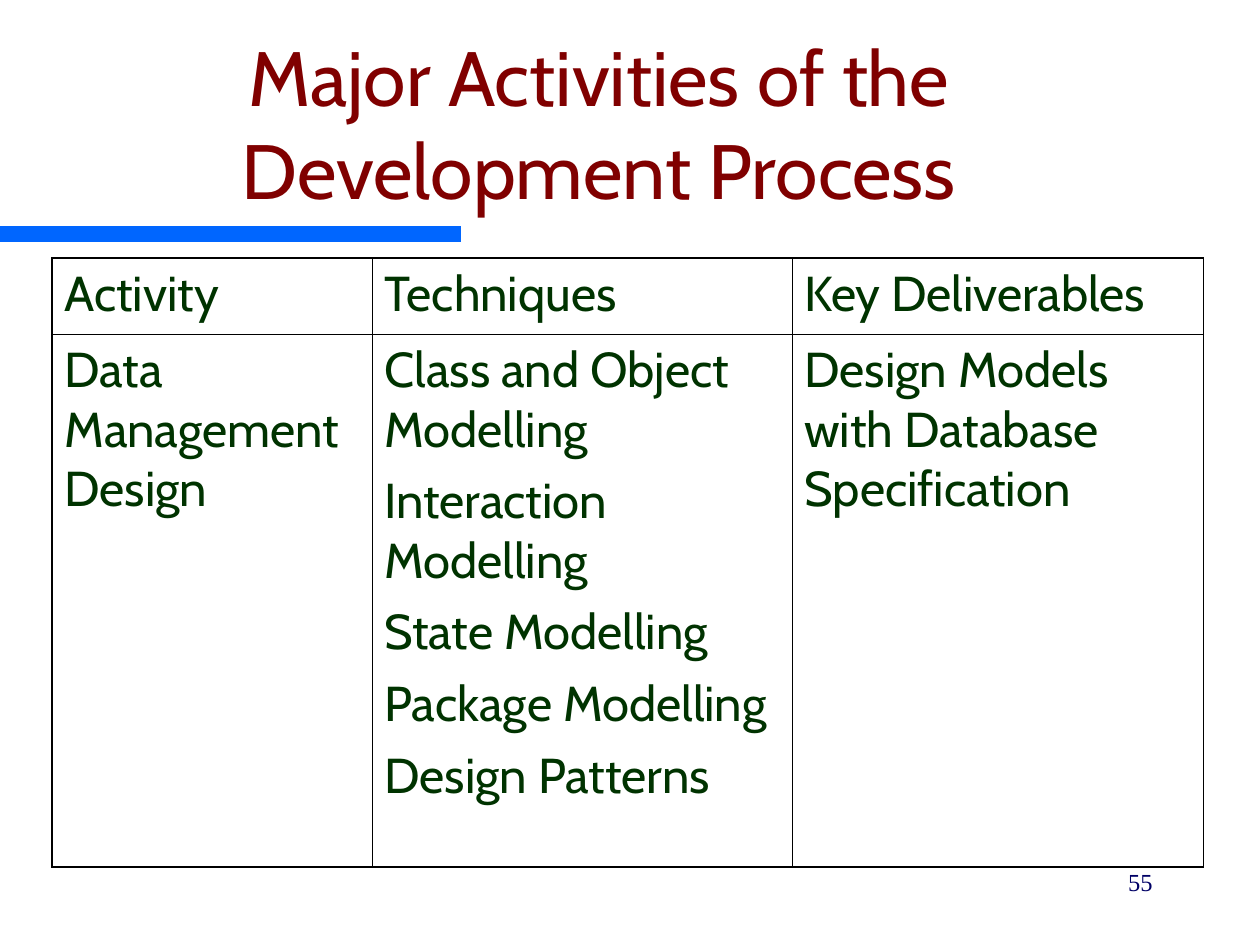
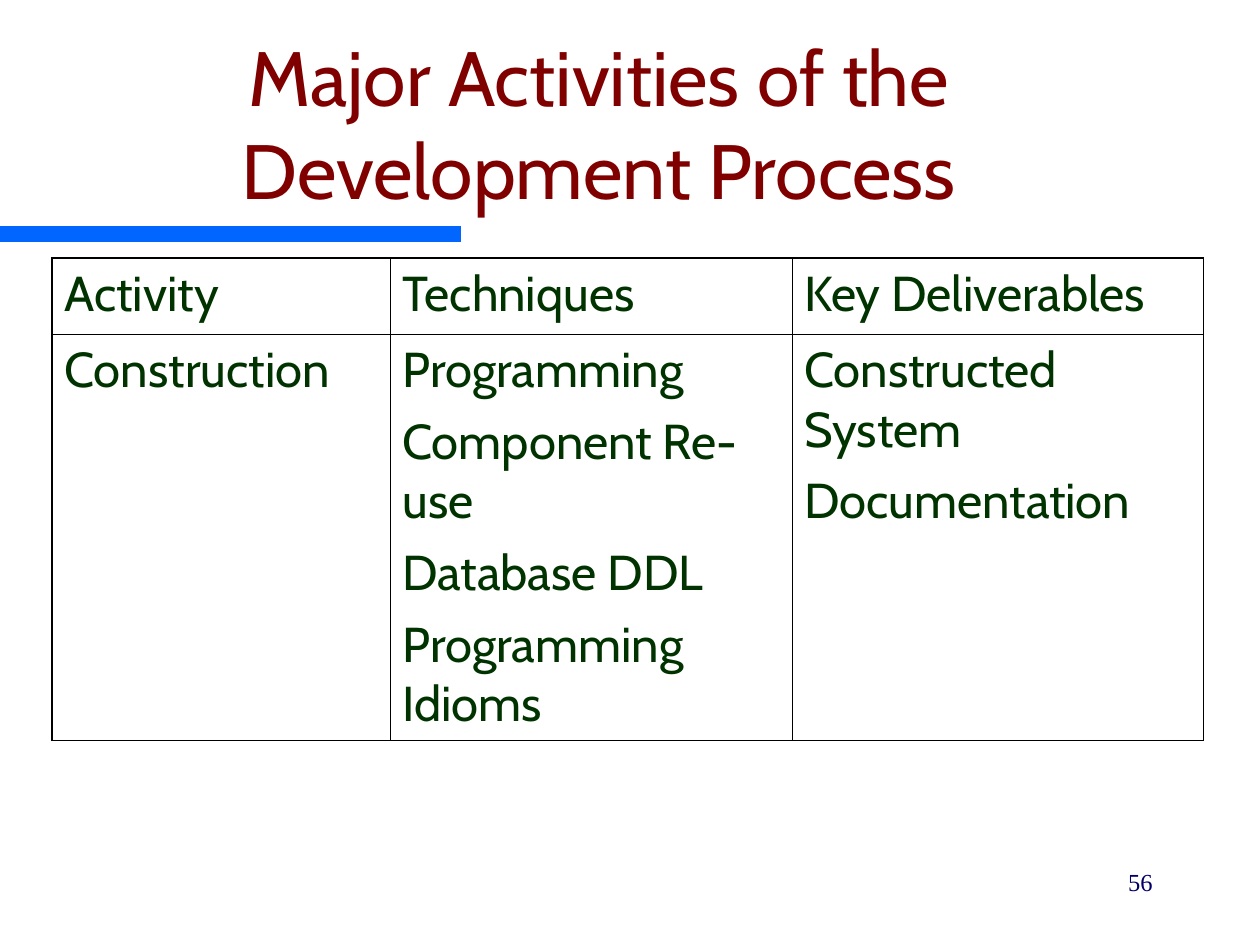
from lxml import etree
from pptx import Presentation
from pptx.dml.color import RGBColor
from pptx.enum.shapes import MSO_SHAPE
from pptx.enum.text import MSO_ANCHOR, MSO_AUTO_SIZE, PP_ALIGN
from pptx.oxml.ns import qn
from pptx.util import Emu, Pt

PX_PER_INCH = 126
TITLE_ONLY = 5

MAROON = RGBColor(0x80, 0x00, 0x00)
GREEN = RGBColor(0x00, 0x33, 0x00)
NAVY = RGBColor(0x00, 0x00, 0x66)
BLUE = RGBColor(0x00, 0x66, 0xFF)
BLACK = RGBColor(0x00, 0x00, 0x00)

SANS = "Cabin"
SERIF = "Times New Roman"
OUTER, INNER = Pt(0.75), Pt(0.45)

TITLE = "Major Activities of the Development Process"
HEADINGS = [["Activity"], ["Techniques"], ["Key Deliverables"]]
HEADING_HEIGHT = 76

ACTIVITIES = [
    {
        "number": 55,
        "widths": (320, 420, 412),
        "height": 533,
        "cells": [
            ["Data Management Design"],
            ["Class and Object Modelling", "Interaction Modelling",
             "State Modelling", "Package Modelling", "Design Patterns"],
            ["Design Models with Database Specification"],
        ],
    },
    {
        "number": 56,
        "widths": (338, 402, 412),
        "height": 403,
        "cells": [
            ["Construction"],
            ["Programming", "Component Re-use", "Database DDL",
             "Programming Idioms"],
            ["Constructed System", "Documentation"],
        ],
    },
]


def px(n):
    """Turn pixels into EMU."""
    return Emu(round(n * 914400 / PX_PER_INCH))


def box(*lengths):
    """Turn left, top, width and height into EMU."""
    return [px(n) for n in lengths]


def style(p, font, size, color, align=PP_ALIGN.LEFT, before=0):
    """Format a whole paragraph."""
    p.alignment = align
    p.space_before = Pt(before)
    p.font.name = font
    p.font.size = Pt(size)
    p.font.color.rgb = color


def add_title(s, text):
    """Fill and place the title placeholder."""
    sp = s.shapes.title
    sp.left, sp.top, sp.width, sp.height = box(32, 63, 1134, 158)
    tf = sp.text_frame
    tf.text = text
    tf.word_wrap = True
    tf.auto_size = MSO_AUTO_SIZE.NONE
    tf.vertical_anchor = MSO_ANCHOR.BOTTOM
    style(tf.paragraphs[0], SANS, 44, MAROON, PP_ALIGN.CENTER)


def add_band(s):
    """Draw the blue band under the title."""
    sp = s.shapes.add_shape(MSO_SHAPE.RECTANGLE, *box(0, 226, 461, 16))
    sp.shadow.inherit = False
    sp.fill.solid()
    sp.fill.fore_color.rgb = BLUE
    sp.line.fill.background()


def add_page_number(s, number):
    """Write the page number at the lower right."""
    tf = s.shapes.add_textbox(*box(903, 861, 262, 63)).text_frame
    tf.word_wrap = True
    tf.text = str(number)
    style(tf.paragraphs[0], SERIF, 14, NAVY, PP_ALIGN.RIGHT, 8.8)


def set_border(cell, side, width):
    """Give one side of a cell a black line."""
    tc_pr = cell._tc.get_or_add_tcPr()
    ln = etree.SubElement(tc_pr, qn(f"a:ln{side}"), w=str(width))
    fill = etree.SubElement(ln, qn("a:solidFill"))
    etree.SubElement(fill, qn("a:srgbClr"), val=str(BLACK))


def fill_cell(cell, lines, edges):
    """Write the lines of a cell, and set its borders and fill."""
    for side in "LRTB":
        set_border(cell, side, OUTER if side in edges else INNER)
    cell.fill.background()
    tf = cell.text_frame
    tf.text = "\n".join(lines)
    for p in tf.paragraphs:
        style(p, SANS, 28, GREEN, before=7)


def add_activity_table(s, widths, height, cells):
    """Draw the table of headings and one activity."""
    rows = [HEADINGS, cells]
    heights = [HEADING_HEIGHT, height]
    frame = s.shapes.add_table(len(rows), len(widths),
                               *box(52, 258, sum(widths), sum(heights)))
    table = frame.table
    table.first_row = table.horz_banding = False
    for column, width in zip(table.columns, widths):
        column.width = px(width)
    for i, row in enumerate(rows):
        table.rows[i].height = px(heights[i])
        for j, lines in enumerate(row):
            edges = ("T" if i == 0 else "B") + {0: "L", 2: "R"}.get(j, "")
            fill_cell(table.cell(i, j), lines, edges)


def add_activity_slide(prs, number, widths, height, cells):
    """Add the slide of one activity."""
    s = prs.slides.add_slide(prs.slide_layouts[TITLE_ONLY])
    add_band(s)
    add_title(s, TITLE)
    add_activity_table(s, widths, height, cells)
    add_page_number(s, number)


def main():
    """Build and save the slides."""
    prs = Presentation()
    prs.slide_width, prs.slide_height = px(1260), px(945)
    for activity in ACTIVITIES:
        add_activity_slide(prs, **activity)
    prs.save("out.pptx")


if __name__ == "__main__":
    main()
